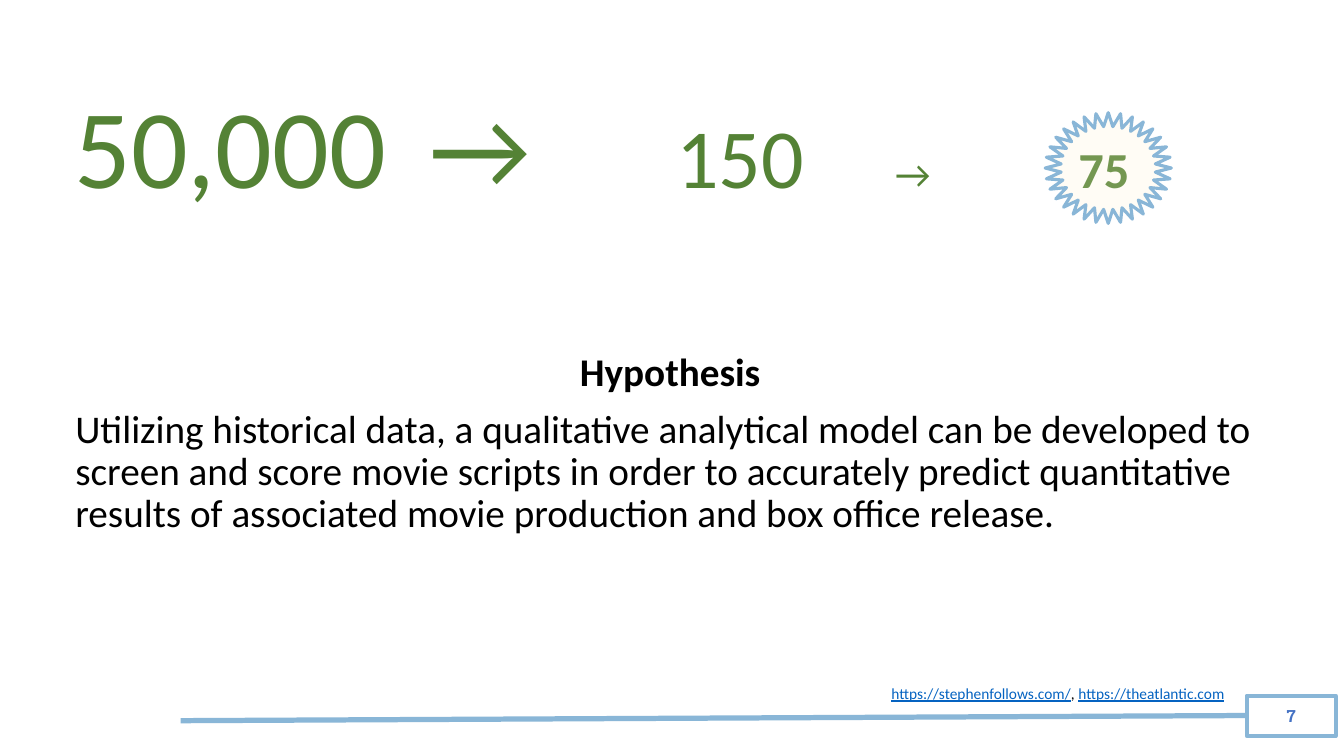
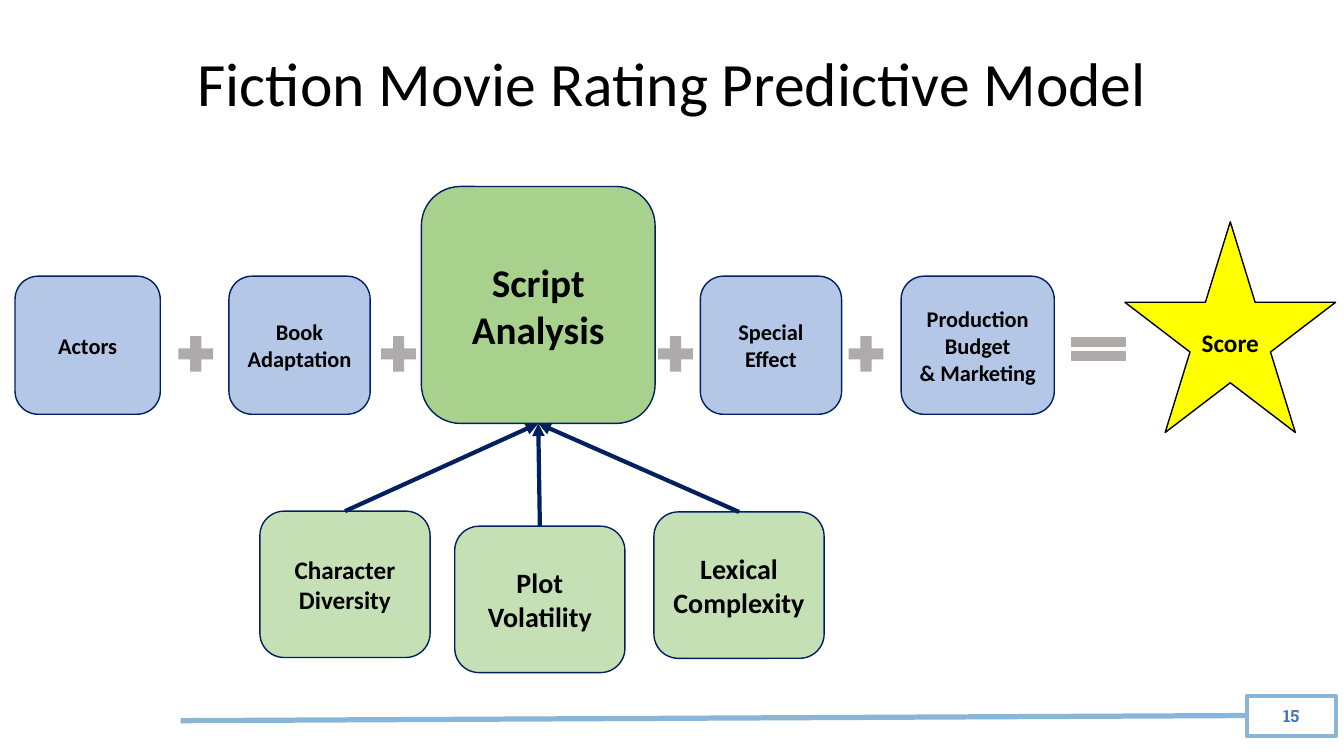
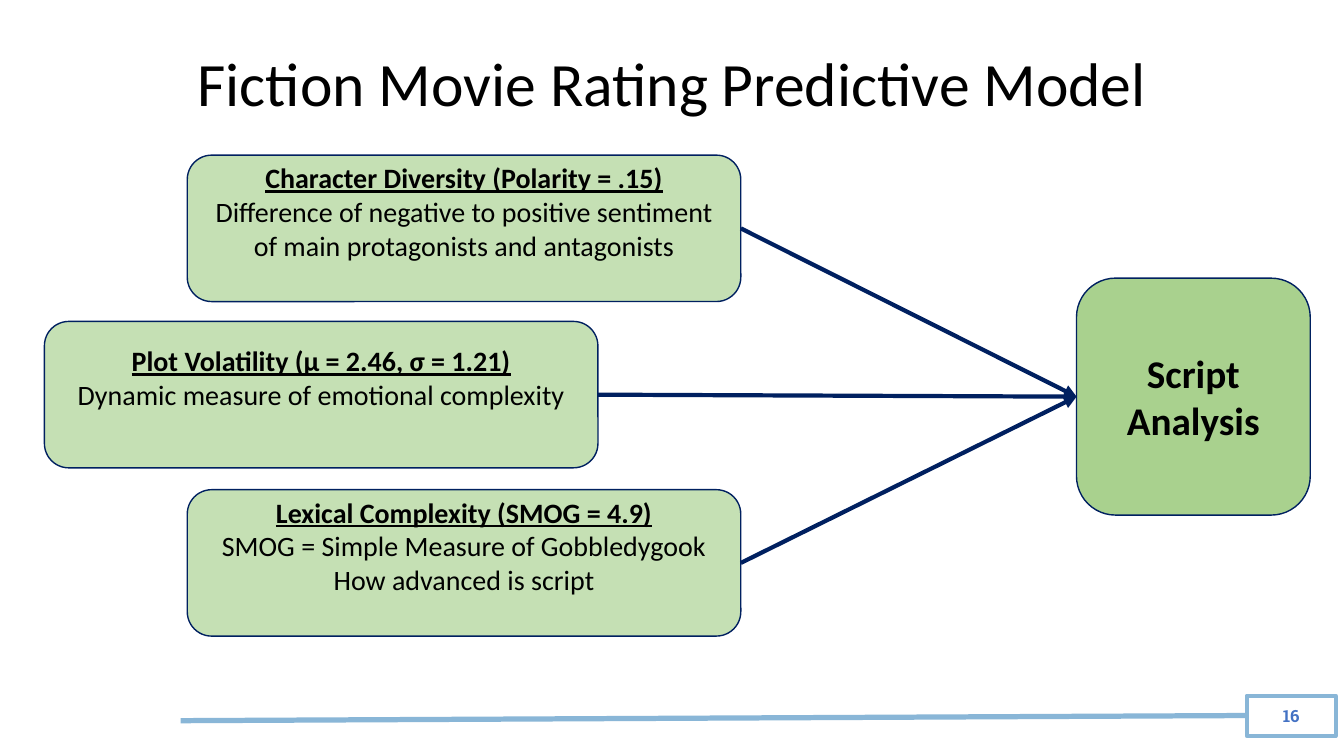
from dataclasses import dataclass

from lxml.etree import SubElement
from pptx import Presentation
from pptx.dml.color import RGBColor
from pptx.enum.shapes import MSO_CONNECTOR, MSO_SHAPE
from pptx.enum.text import MSO_ANCHOR, PP_ALIGN
from pptx.oxml.ns import qn
from pptx.util import Cm, Pt


@dataclass(frozen=True)
class Theme:
    black: str = "000000"
    navy: str = "002060"
    band: str = "89B6D7"
    number: str = "4472C4"
    link: str = "0563C1"
    figure: str = "548235"
    cream: str = "FFF2CC"
    green: str = "A9D18E"
    light_green: str = "C5E0B4"
    blue: str = "B4C7E7"
    gray: str = "AFABAB"
    yellow: str = "FFFF00"
    font: str = "Calibri"
    number_font: str = "Roboto Slab"
    title_size: int = 44
    heading_size: int = 28
    metric_size: int = 20
    label_size: int = 18
    factor_size: int = 16
    number_size: int = 12
    source_size: int = 11
    figure_sizes: tuple = (80, 60, 36, 28)


class Deck:
    """Draw styled elements on the current slide of a presentation."""

    def __init__(self, theme):
        self.theme = theme
        self.presentation = Presentation()
        self.presentation.slide_width = Cm(33.87)
        self.presentation.slide_height = Cm(19.05)
        self.slide = None

    def new_slide(self, number, title=None):
        theme = self.theme
        layout = self.presentation.slide_layouts[6]
        self.slide = self.presentation.slides.add_slide(layout)
        self.line((4.55, 18.16), (31.42, 18.03), theme.band, 3.75)
        if title:
            self.text_box((2.34, 0.33, 29.21, 3.68), [[(title, self.style(theme.title_size))]],
                          PP_ALIGN.CENTER, MSO_ANCHOR.MIDDLE)
        style = self.style(theme.number_size, theme.number, bold=True, name=theme.number_font)
        self.shape(MSO_SHAPE.RECTANGLE, (31.42, 17.53, 2.24, 1.02), line=theme.band,
                   width=2.75, paragraphs=[[(str(number), style)]])

    def style(self, size, color=None, **values):
        return {"name": self.theme.font, "size": Pt(size),
                "color": color or self.theme.black, **values}

    def fill_text(self, shape, paragraphs, alignment, anchor, **spacing):
        frame = shape.text_frame
        frame.word_wrap = True
        frame.vertical_anchor = anchor
        for index, runs in enumerate(paragraphs):
            paragraph = frame.add_paragraph() if index else frame.paragraphs[0]
            paragraph.alignment = alignment
            for name, value in spacing.items():
                if index or name != "space_before":
                    setattr(paragraph, name, value)
            for text, style in runs:
                run = paragraph.add_run()
                run.text = text
                for name, value in style.items():
                    if name == "color":
                        run.font.color.rgb = RGBColor.from_string(value)
                    else:
                        setattr(run.font, name, value)

    def text_box(self, box, paragraphs, alignment, anchor=MSO_ANCHOR.TOP):
        shape = self.slide.shapes.add_textbox(*map(Cm, box))
        self.fill_text(shape, paragraphs, alignment, anchor, line_spacing=0.9,
                       space_before=Pt(10))
        return shape

    def shape(self, kind, box, fill=None, line=None, width=1, paragraphs=(), opacity=None):
        shape = self.slide.shapes.add_shape(kind, *map(Cm, box))
        shape.shadow.inherit = False
        if fill:
            shape.fill.solid()
            shape.fill.fore_color.rgb = RGBColor.from_string(fill)
        else:
            shape.fill.background()
        if opacity:
            color = shape._element.spPr.find(qn("a:solidFill"))[0]
            SubElement(color, qn("a:alpha"), val=str(opacity * 1000))
        if line:
            shape.line.color.rgb = RGBColor.from_string(line)
            shape.line.width = Pt(width)
        else:
            shape.line.fill.background()
        if paragraphs:
            self.fill_text(shape, paragraphs, PP_ALIGN.CENTER, MSO_ANCHOR.MIDDLE)
        return shape

    def card(self, box, fill, lines, size):
        style = self.style(size, bold=True)
        return self.shape(MSO_SHAPE.ROUNDED_RECTANGLE, box, fill, self.theme.navy,
                          paragraphs=[[(line, style)] for line in lines])

    def script_card(self, left, top):
        return self.card((left, top, 5.89, 5.97), self.theme.green,
                         ["Script Analysis"], self.theme.heading_size)

    def detail_card(self, left, top, heading, details):
        size = self.theme.metric_size
        paragraphs = [[(heading, self.style(size, bold=True, underline=True))]]
        paragraphs += [[(detail, self.style(size))] for detail in details]
        shape = self.shape(MSO_SHAPE.ROUNDED_RECTANGLE, (left, top, 13.95, 3.69),
                           self.theme.light_green, self.theme.navy, paragraphs=paragraphs)
        shape.text_frame.margin_bottom = Cm(0.99)
        return shape

    def line(self, start, end, color, width):
        connector = self.slide.shapes.add_connector(
            MSO_CONNECTOR.STRAIGHT, *map(Cm, (*start, *end)))
        connector.line.color.rgb = RGBColor.from_string(color)
        connector.line.width = Pt(width)
        SubElement(connector._element.spPr, qn("a:effectLst"))
        return connector

    def arrow(self, source, source_site, target, target_site):
        connector = self.line((0, 0), (0, 0), self.theme.navy, 3)
        connector.begin_connect(source, source_site)
        connector.end_connect(target, target_site)
        outline = connector._element.spPr.find(qn("a:ln"))
        SubElement(outline, qn("a:tailEnd"), type="triangle")

    def tab_stops(self, shape, positions):
        properties = shape.text_frame.paragraphs[0]._p.get_or_add_pPr()
        stops = SubElement(properties, qn("a:tabLst"))
        for position in positions:
            SubElement(stops, qn("a:tab"), pos=str(Cm(position)), algn="l")


def hypothesis_slide(deck):
    theme = deck.theme
    deck.new_slide(7)
    heading = deck.style(theme.heading_size, bold=True)
    statement = ("Utilizing historical data, a qualitative analytical model can be developed to "
                 "screen and score movie scripts in order to accurately predict quantitative "
                 "results of associated movie production and box office release.")
    body = deck.text_box((1.65, 7.19, 30.48, 6.45),
                         [[("Hypothesis", heading)], [(statement, deck.style(theme.heading_size))]],
                         PP_ALIGN.LEFT)
    body.text_frame.margin_top = Cm(1.7)
    body.text_frame.paragraphs[0].alignment = PP_ALIGN.CENTER

    huge, large, medium, small = [deck.style(size, theme.figure) for size in theme.figure_sizes]
    funnel = deck.text_box((0.58, 2.18, 29.21, 4.09),
                           [[("50,000\t→", huge), ("\t", small), ("150", large),
                             ("\t→\t", small), ("75", {**medium, "bold": True})]],
                           PP_ALIGN.LEFT)
    funnel.text_frame.margin_left = Cm(1.3)
    deck.tab_stops(funnel, (8.94, 15.16, 20.68, 25.3))
    deck.shape(MSO_SHAPE.STAR_32_POINT, (26.34, 2.84, 3.18, 2.79), theme.cream, theme.band,
               2.25, opacity=19)

    link = deck.style(theme.source_size, theme.link, underline=True)
    deck.text_box((18.36, 17.17, 12.75, 1.02),
                  [[("https://stephenfollows.com/", link), (", ", deck.style(theme.source_size)),
                    ("https://theatlantic.com", link)]], PP_ALIGN.RIGHT)


def model_slide(deck, title):
    theme = deck.theme
    deck.new_slide(15, title)
    script = deck.script_card(10.62, 4.7)
    factors = [(0.38, 3.66, ["Actors"]), (5.77, 3.56, ["Book Adaptation"]),
               (17.65, 3.56, ["Special Effect"]),
               (22.71, 3.86, ["Production Budget", "& Marketing"])]
    for left, width, lines in factors:
        deck.card((left, 6.96, width, 3.48), theme.blue, lines, theme.factor_size)
    metrics = [(6.55, 12.88, "Character Diversity", theme.label_size),
               (11.46, 13.26, "Plot Volatility", theme.metric_size),
               (16.48, 12.9, "Lexical Complexity", theme.metric_size)]
    for left, top, label, size in metrics:
        metric = deck.card((left, top, 4.29, 3.69), theme.light_green, [label], size)
        deck.arrow(metric, 0, script, 2)
    for left in (4.34, 9.45, 16.43, 21.23):
        deck.shape(MSO_SHAPE.MATH_PLUS, (left, 8.31, 1.19, 1.22), theme.gray)
    deck.shape(MSO_SHAPE.MATH_EQUAL, (26.77, 8.31, 1.83, 0.97), theme.gray, theme.gray)
    deck.shape(MSO_SHAPE.STAR_5_POINT, (28.35, 5.59, 5.31, 5.31), theme.yellow, theme.black,
               paragraphs=[[("Score", deck.style(theme.label_size, bold=True))]])


def script_slide(deck, title):
    deck.new_slide(16, title)
    script = deck.script_card(27.13, 7.01)
    metrics = [(4.72, 3.91, "Character Diversity (Polarity = .15)",
                ["Difference of negative to positive sentiment of main protagonists "
                 "and antagonists"]),
               (1.12, 8.1, "Plot Volatility (µ = 2.46, σ = 1.21)",
                ["Dynamic measure of emotional complexity"]),
               (4.72, 12.34, "Lexical Complexity (SMOG = 4.9)",
                ["SMOG = Simple Measure of Gobbledygook", "How advanced is script"])]
    for metric in metrics:
        deck.arrow(deck.detail_card(*metric), 3, script, 1)


def main():
    deck = Deck(Theme())
    title = "Fiction Movie Rating Predictive Model"
    hypothesis_slide(deck)
    model_slide(deck, title)
    script_slide(deck, title)
    deck.presentation.save("out.pptx")


if __name__ == "__main__":
    main()
